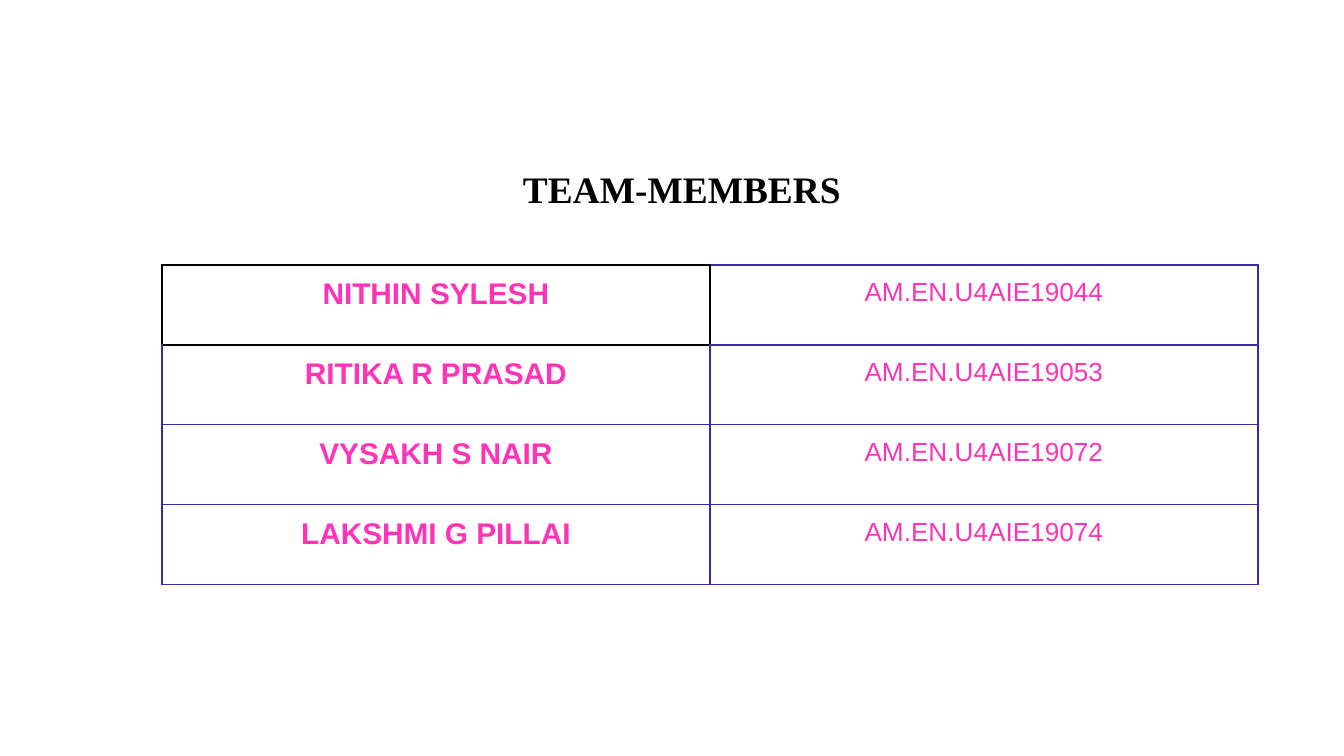
"""Build the team members slide: a title above a bordered table."""
from lxml.etree import SubElement
from pptx import Presentation
from pptx.dml.color import RGBColor
from pptx.enum.text import PP_ALIGN
from pptx.oxml.ns import qn
from pptx.util import Emu, Pt

PX_PER_INCH = 134.4
INSET = 13
PINK, VIOLET, BLACK = "FF33B7", "382DA4", "000000"
MEMBERS = [
    ("NITHIN SYLESH", "AM.EN.U4AIE19044"),
    ("RITIKA R PRASAD", "AM.EN.U4AIE19053"),
    ("VYSAKH S NAIR", "AM.EN.U4AIE19072"),
    ("LAKSHMI G PILLAI", "AM.EN.U4AIE19074"),
]


def px(n):
    return Emu(round(n * 914400 / PX_PER_INCH))


def rgb(value):
    return RGBColor.from_string(value)


def write(tf, text, size, color, font="Arial", bold=False, align=PP_ALIGN.LEFT):
    p = tf.paragraphs[0]
    p.alignment = align
    r = p.add_run()
    r.text = text
    r.font.size = Pt(size)
    r.font.name = font
    r.font.bold = bold
    r.font.color.rgb = rgb(color)


def set_insets(obj, left=INSET):
    obj.margin_left = px(left)
    obj.margin_right = obj.margin_top = obj.margin_bottom = px(INSET)


def set_borders(cell, **colors):
    tcPr = cell._tc.get_or_add_tcPr()
    for side in "LRTB":
        ln = SubElement(tcPr, qn(f"a:ln{side}"), w=str(Pt(0.75)))
        fill = SubElement(ln, qn("a:solidFill"))
        SubElement(fill, qn("a:srgbClr"), val=colors.get(side, VIOLET))


def add_title(s, text):
    tf = s.shapes.add_textbox(px(341), px(153), px(595), px(73)).text_frame
    tf.word_wrap = True
    set_insets(tf, left=182)
    write(tf, text, 20, BLACK, font="Times New Roman", bold=True)


def add_members(s, members):
    rows, cols = len(members), len(members[0])
    frame = s.shapes.add_table(rows, cols, px(162), px(265), px(548 * cols), px(80 * rows))
    table = frame.table
    table.first_row = table.horz_banding = False
    black_edges = {(0, 0): "LRTB", (0, 1): "L", (1, 0): "T"}
    for i, member in enumerate(members):
        for j, text in enumerate(member):
            cell = table.cell(i, j)
            set_insets(cell)
            set_borders(cell, **dict.fromkeys(black_edges.get((i, j), ""), BLACK))
            cell.fill.background()
            write(cell.text_frame, text, 14 if j else 16, PINK,
                  bold=j == 0, align=PP_ALIGN.CENTER)


def main():
    prs = Presentation()
    prs.slide_width, prs.slide_height = px(1344), px(756)
    s = prs.slides.add_slide(prs.slide_layouts[6])
    add_members(s, MEMBERS)
    add_title(s, "TEAM-MEMBERS")
    prs.save("out.pptx")


if __name__ == "__main__":
    main()
